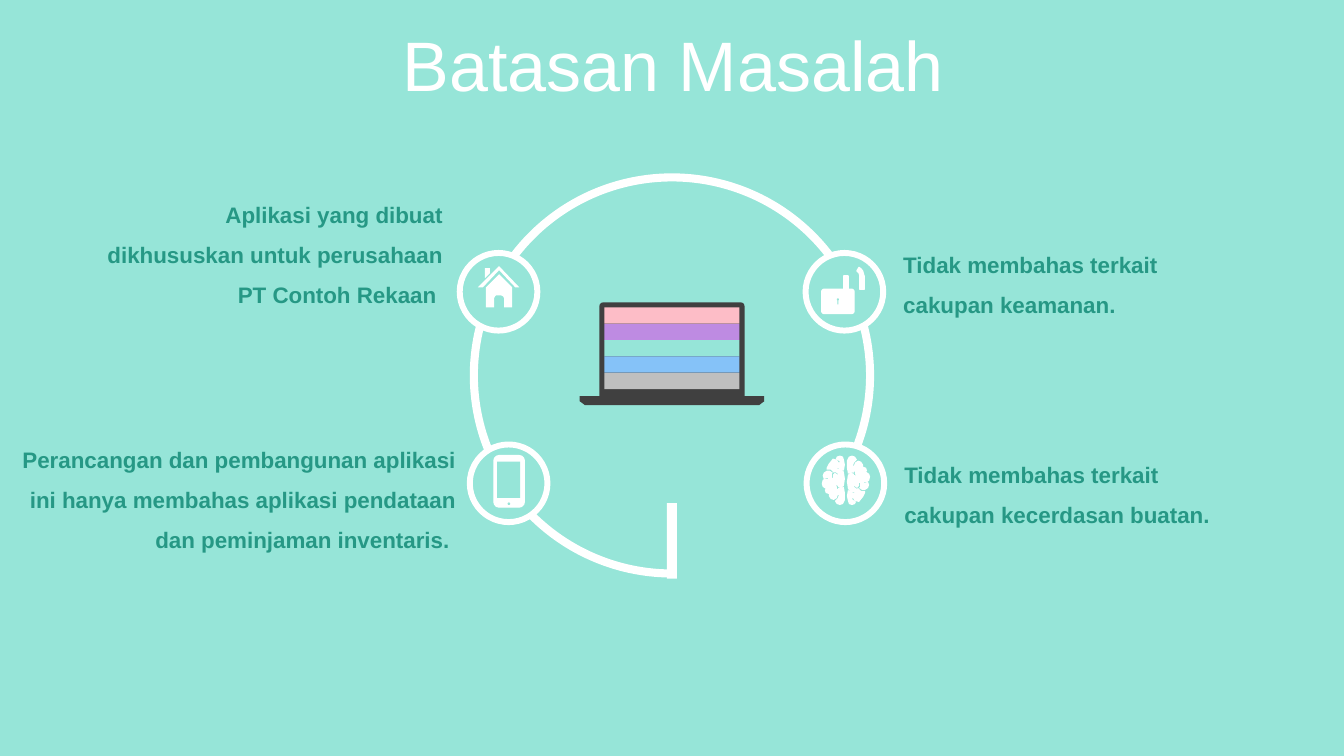
from dataclasses import dataclass

from pptx import Presentation
from pptx.dml.color import RGBColor
from pptx.enum.shapes import MSO_SHAPE as SHAPE
from pptx.enum.text import MSO_ANCHOR as ANCHOR, MSO_AUTO_SIZE as FIT, PP_ALIGN as ALIGN
from pptx.util import Inches, Pt


@dataclass(frozen=True)
class Theme:
    """Colours, font and type sizes of the slide."""
    mint: str = "96E5D8"
    white: str = "FFFFFF"
    dark: str = "404040"
    text: str = "269885"
    stripes: tuple = ("FDBDC7", "BE8BE2", "96E5D8", "85C2F8", "BFBFBF")
    font: str = "Arial"
    title_size: int = 50
    body_size: int = 16


T = Theme()

# Icon outlines, in hundredths of an inch from the icon's corner
HOUSE = [
    [(21, 8), (34, 21), (34, 41), (26, 41), (26, 32), (25, 30), (23, 29), (18, 29),
     (17, 30), (16, 32), (16, 41), (8, 41), (8, 21)],
    [(7, 2), (12, 2), (12, 7), (7, 12)],
    [(21, 0), (41, 21), (37, 21), (21, 4), (5, 21), (0, 21)],
]
BRAIN_HALF = [
    (30, 0), (33, 1), (35, 4), (32, 7), (31, 10), (32, 10), (33, 7), (36, 5), (39, 6),
    (41, 9), (41, 11), (44, 12), (45, 15), (44, 16), (47, 18), (48, 21), (47, 25),
    (45, 26), (42, 26), (42, 27), (46, 26), (47, 29), (46, 32), (43, 34), (40, 34),
    (37, 32), (38, 31), (38, 27), (37, 27), (37, 30), (36, 31), (35, 32), (32, 30),
    (32, 31), (35, 33), (36, 32), (39, 35), (43, 35), (43, 37), (41, 41), (37, 46),
    (33, 45), (31, 42), (30, 43), (34, 46), (33, 48), (30, 49), (27, 48), (26, 45),
    (25, 40), (26, 34), (29, 36), (33, 37), (32, 36), (29, 36), (26, 33), (25, 26),
    (26, 19), (29, 17), (32, 18), (32, 19), (34, 20), (33, 18), (33, 16), (35, 15),
    (32, 16), (32, 17), (29, 17), (26, 18), (25, 12), (25, 5), (27, 1),
]
BRAIN = [BRAIN_HALF, [(48 - x, 49 - y) for x, y in BRAIN_HALF]]


def paint(sp, fill, line=None, width=1):
    """Give a shape a flat fill and an optional line."""
    sp.shadow.inherit = False
    sp.fill.solid()
    sp.fill.fore_color.rgb = RGBColor.from_string(fill)
    if line:
        sp.line.color.rgb = RGBColor.from_string(line)
        sp.line.width = Pt(width)
    else:
        sp.line.fill.background()


def add(s, kind, x, y, w, h, fill, line=None, width=1, adj=(), rotation=0):
    """Add a painted preset shape."""
    sp = s.shapes.add_shape(kind, *map(Inches, (x, y, w, h)))
    for i, value in enumerate(adj):
        sp.adjustments[i] = value
    sp.rotation = rotation
    paint(sp, fill, line, width)
    return sp


def outline(s, x, y, contours):
    """Add one white freeform made of several closed contours."""
    def place(points):
        return [(Inches(x + px / 100), Inches(y + py / 100)) for px, py in points]

    first, *rest = map(place, contours)
    fb = s.shapes.build_freeform(*first[0], scale=1.0)
    fb.add_line_segments(first[1:], close=True)
    for points in rest:
        fb.move_to(*points[0])
        fb.add_line_segments(points[1:], close=True)
    paint(fb.convert_to_shape(), T.white)


def write(tf, text, para, font, color):
    """Write one formatted paragraph into a text frame."""
    tf.word_wrap = True
    tf.auto_size = FIT.NONE
    p = tf.paragraphs[0]
    r = p.add_run()
    r.text = text
    for target, formats in ((p, para), (r.font, {"name": T.font, **font})):
        for name, value in formats.items():
            setattr(target, name, value)
    r.font.color.rgb = RGBColor.from_string(color)


def title(s, x, y, w, h):
    """Place the slide title."""
    sp = s.shapes.title
    for name, value in zip(("left", "top", "width", "height"), (x, y, w, h)):
        setattr(sp, name, Inches(value))
    sp.text_frame.vertical_anchor = ANCHOR.MIDDLE
    write(sp.text_frame, "Batasan Masalah",
          {"alignment": ALIGN.CENTER, "line_spacing": 0.8, "space_before": Pt(10)},
          {"size": Pt(T.title_size), "bold": False}, T.white)


def laptop(s, x, y, w):
    """Draw the laptop with a striped screen, centred on its base."""
    lid_w, lid_h, edge, screen_h = 1.44, 0.93, 0.05, 0.81
    lid_x = x + (w - lid_w) / 2
    add(s, SHAPE.ROUND_2_SAME_RECTANGLE, lid_x, y, lid_w, lid_h, T.dark, adj=(0.04, 0))
    pitch = screen_h / len(T.stripes)
    for i, color in enumerate(T.stripes):
        add(s, SHAPE.RECTANGLE, lid_x + edge, y + edge + i * pitch,
            lid_w - 2 * edge, pitch, color)
    add(s, SHAPE.RECTANGLE, x, y + lid_h, w, 0.05, T.dark)
    add(s, SHAPE.TRAPEZOID, x, y + lid_h + 0.05, w, 0.04, T.dark, adj=(1.3,), rotation=180)


def ring(s, x, y, size):
    """Draw the open ring and the stem at its lower end."""
    add(s, SHAPE.BLOCK_ARC, x, y, size, size, T.white, adj=(53.93, 17.21, 0.02))
    add(s, SHAPE.RECTANGLE, x + size / 2 - 0.05, y + size - 0.74, 0.1, 0.75, T.white)


def house(s, x, y):
    """Draw the house icon."""
    outline(s, x, y, HOUSE)


def brain(s, x, y):
    """Draw the brain icon; its left half is the right one turned around."""
    outline(s, x, y, BRAIN)


def padlock(s, x, y):
    """Draw the open padlock icon."""
    add(s, SHAPE.BLOCK_ARC, x + 0.22, y, 0.2, 0.2, T.white, T.white, adj=(180, 0, 0.2))
    for leg in (0.22, 0.38):
        add(s, SHAPE.RECTANGLE, x + leg, y + 0.1, 0.04, 0.13, T.white, T.white)
    add(s, SHAPE.ROUNDED_RECTANGLE, x, y + 0.23, 0.32, 0.24, T.white, T.white, adj=(0.1,))
    add(s, SHAPE.OVAL, x + 0.15, y + 0.32, 0.02, 0.02, T.mint)
    add(s, SHAPE.RECTANGLE, x + 0.155, y + 0.33, 0.01, 0.05, T.mint)


def phone(s, x, y):
    """Draw the phone icon."""
    add(s, SHAPE.ROUNDED_RECTANGLE, x, y, 0.3, 0.51, T.white, T.white, adj=(0.17,))
    add(s, SHAPE.RECTANGLE, x + 0.03, y + 0.06, 0.23, 0.36, T.mint)
    add(s, SHAPE.OVAL, x + 0.135, y + 0.465, 0.025, 0.025, T.mint)


def badge(s, x, y, icon, dx, dy):
    """Draw a round badge with an icon offset from its corner."""
    add(s, SHAPE.OVAL, x, y, 0.77, 0.77, T.mint, T.white, 4.25)
    icon(s, x + dx, y + dy)


def note(s, x, y, w, h, text, align):
    """Add the text beside a badge."""
    tf = s.shapes.add_textbox(*map(Inches, (x, y, w, h))).text_frame
    write(tf, text, {"alignment": align, "line_spacing": 1.5},
          {"size": Pt(T.body_size), "bold": True}, T.text)


def scope_slide(prs):
    """Build the slide on the limits of the problem."""
    s = prs.slides.add_slide(prs.slide_layouts[5])
    s.background.fill.solid()
    s.background.fill.fore_color.rgb = RGBColor.from_string(T.mint)
    title(s, 0.35, 0.31, 12.66, 0.79)
    laptop(s, 5.75, 3, 1.83)
    ring(s, 4.66, 1.72, 4.01)
    for item in ((4.56, 2.51, house, 0.18, 0.13), (7.99, 2.51, padlock, 0.16, 0.13),
                 (4.66, 4.41, phone, 0.24, 0.11), (8, 4.41, brain, 0.15, 0.11)):
        badge(s, *item)
    for item in (
        (0.88, 1.81, 3.61, 1.31,
         "Aplikasi yang dibuat dikhususkan untuk perusahaan PT Contoh Rekaan ", ALIGN.RIGHT),
        (0.12, 4.24, 4.5, 1.31,
         "Perancangan dan pembangunan aplikasi ini hanya membahas aplikasi "
         "pendataan dan peminjaman inventaris. ", ALIGN.RIGHT),
        (8.86, 2.31, 3.61, 0.91, "Tidak membahas terkait cakupan keamanan. ", ALIGN.LEFT),
        (8.87, 4.39, 3.61, 0.91, "Tidak membahas terkait cakupan kecerdasan buatan.",
         ALIGN.LEFT),
    ):
        note(s, *item)


prs = Presentation()
prs.slide_width, prs.slide_height = Inches(13.33), Inches(7.5)
scope_slide(prs)
prs.save("out.pptx")
